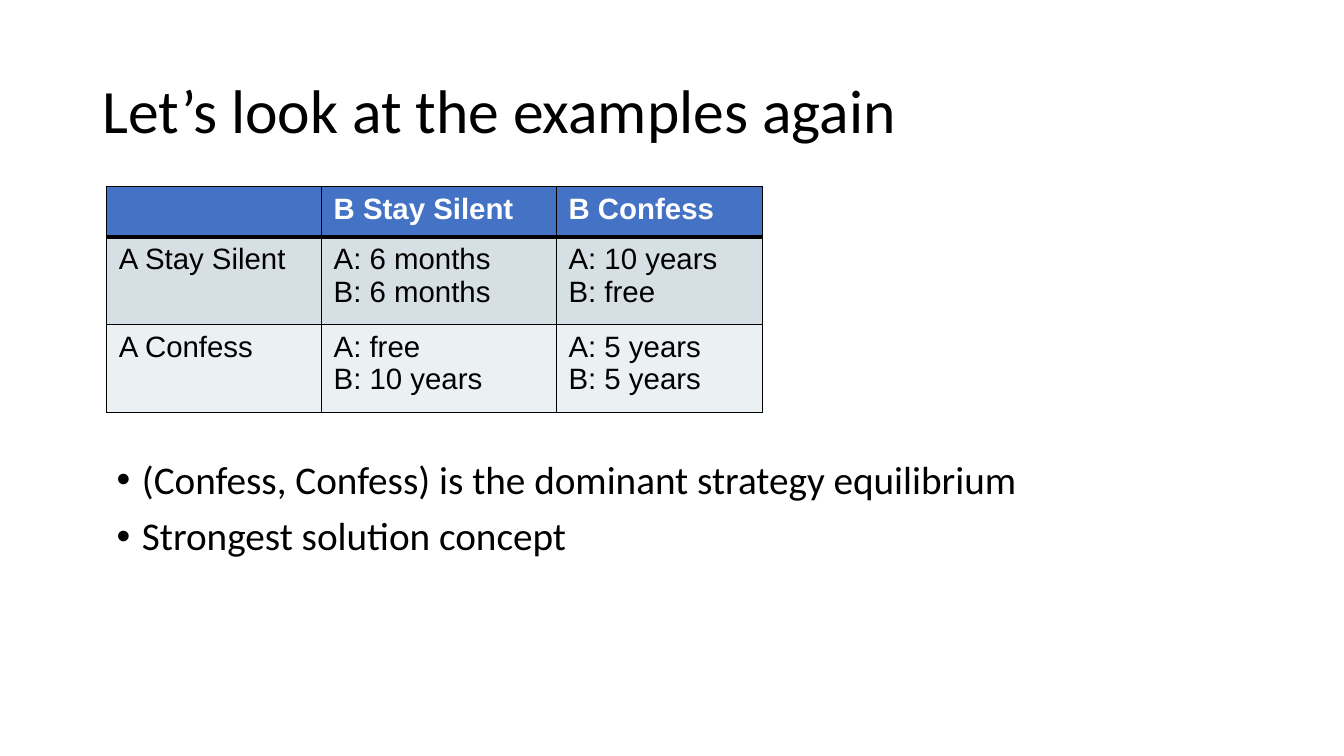
from dataclasses import dataclass

from lxml.etree import SubElement
from pptx import Presentation
from pptx.dml.color import RGBColor
from pptx.enum.text import MSO_ANCHOR
from pptx.oxml.ns import qn
from pptx.util import Inches, Pt


@dataclass(frozen=True)
class Theme:
    """Colours, fonts and type sizes of the deck."""
    ink: str = "000000"
    header_ink: str = "FFFFFF"
    header_fill: str = "4472C4"
    row_fills: tuple = ("D5DFE4", "EBF0F2")
    text_font: str = "Calibri"
    table_font: str = "Arial"
    title_size: int = 44
    body_size: int = 28
    table_size: int = 21
    thin_line: int = 1
    thick_line: int = 3


THEME = Theme()
PAYOFFS = (
    ("", "B Stay Silent", "B Confess"),
    ("A Stay Silent", "A: 6 months\nB: 6 months", "A: 10 years\nB: free"),
    ("A Confess", "A: free\nB: 10 years", "A: 5 years\nB: 5 years"),
)
COLUMN_WIDTHS = (2.13, 2.33, 2.04)
ROW_HEIGHTS = (0.5, 0.87, 0.87)


def style_font(font, name, size, colour, bold=False):
    """Set the face, size, colour and weight of a font."""
    font.name = name
    font.size = Pt(size)
    font.bold = bold
    font.color.rgb = RGBColor.from_string(colour)


def add_bullet(paragraph):
    """Give a paragraph a hanging round bullet."""
    properties = paragraph._p.get_or_add_pPr()
    properties.set("marL", str(Inches(0.25)))
    properties.set("indent", str(-Inches(0.25)))
    SubElement(properties, qn("a:buFont"), typeface="Arial")
    SubElement(properties, qn("a:buChar"), char="•")


def add_text(page, box, lines, size, anchor=MSO_ANCHOR.TOP, bulleted=False):
    """Place lines of text in a box, as bullets if asked."""
    frame = page.shapes.add_textbox(*map(Inches, box)).text_frame
    frame.word_wrap = True
    frame.vertical_anchor = anchor
    frame.text = "\n".join(lines)
    for index, paragraph in enumerate(frame.paragraphs):
        paragraph.line_spacing = 0.9
        if index:
            paragraph.space_before = Pt(10)
        if bulleted:
            add_bullet(paragraph)
        style_font(paragraph.font, THEME.text_font, size, THEME.ink)


def add_borders(cell, widths):
    """Draw the left, right, top and bottom borders of a cell."""
    properties = cell._tc.get_or_add_tcPr()
    for side, width in zip(("lnL", "lnR", "lnT", "lnB"), widths):
        line = SubElement(properties, qn(f"a:{side}"), w=str(Pt(width)))
        fill = SubElement(line, qn("a:solidFill"))
        SubElement(fill, qn("a:srgbClr"), val=THEME.ink)


def fill_cell(cell, text, row):
    """Write and style one cell according to its row."""
    header = row == 0
    thin, thick = THEME.thin_line, THEME.thick_line
    top = thick if row == 1 else thin
    bottom = thick if header else thin
    add_borders(cell, (thin, thin, top, bottom))
    cell.fill.solid()
    colour = THEME.header_fill if header else THEME.row_fills[row - 1]
    cell.fill.fore_color.rgb = RGBColor.from_string(colour)
    cell.margin_left = cell.margin_right = Inches(0.12)
    cell.margin_top = cell.margin_bottom = Inches(0.06)
    cell.text = text
    ink = THEME.header_ink if header else THEME.ink
    for paragraph in cell.text_frame.paragraphs:
        style_font(paragraph.font, THEME.table_font, THEME.table_size, ink, header)


def add_payoff_table(page, box):
    """Place the payoff table in a box."""
    table = page.shapes.add_table(
        len(ROW_HEIGHTS), len(COLUMN_WIDTHS), *map(Inches, box)).table
    for column, width in zip(table.columns, COLUMN_WIDTHS):
        column.width = Inches(width)
    for row, height in zip(table.rows, ROW_HEIGHTS):
        row.height = Inches(height)
    for row, texts in enumerate(PAYOFFS):
        for column, text in enumerate(texts):
            fill_cell(table.cell(row, column), text, row)


def main():
    """Build and save the deck."""
    deck = Presentation()
    deck.slide_width, deck.slide_height = Inches(13.33), Inches(7.5)
    page = deck.slides.add_slide(deck.slide_layouts[6])
    add_text(page, (0.92, 0.4, 11.5, 1.45), ["Let’s look at the examples again"],
             THEME.title_size, anchor=MSO_ANCHOR.MIDDLE)
    add_text(page, (1.06, 4.52, 11.36, 2.23),
             ["(Confess, Confess) is the dominant strategy equilibrium",
              "Strongest solution concept"],
             THEME.body_size, bulleted=True)
    add_payoff_table(page, (1.06, 1.85, sum(COLUMN_WIDTHS), sum(ROW_HEIGHTS)))
    deck.save("out.pptx")


if __name__ == "__main__":
    main()
